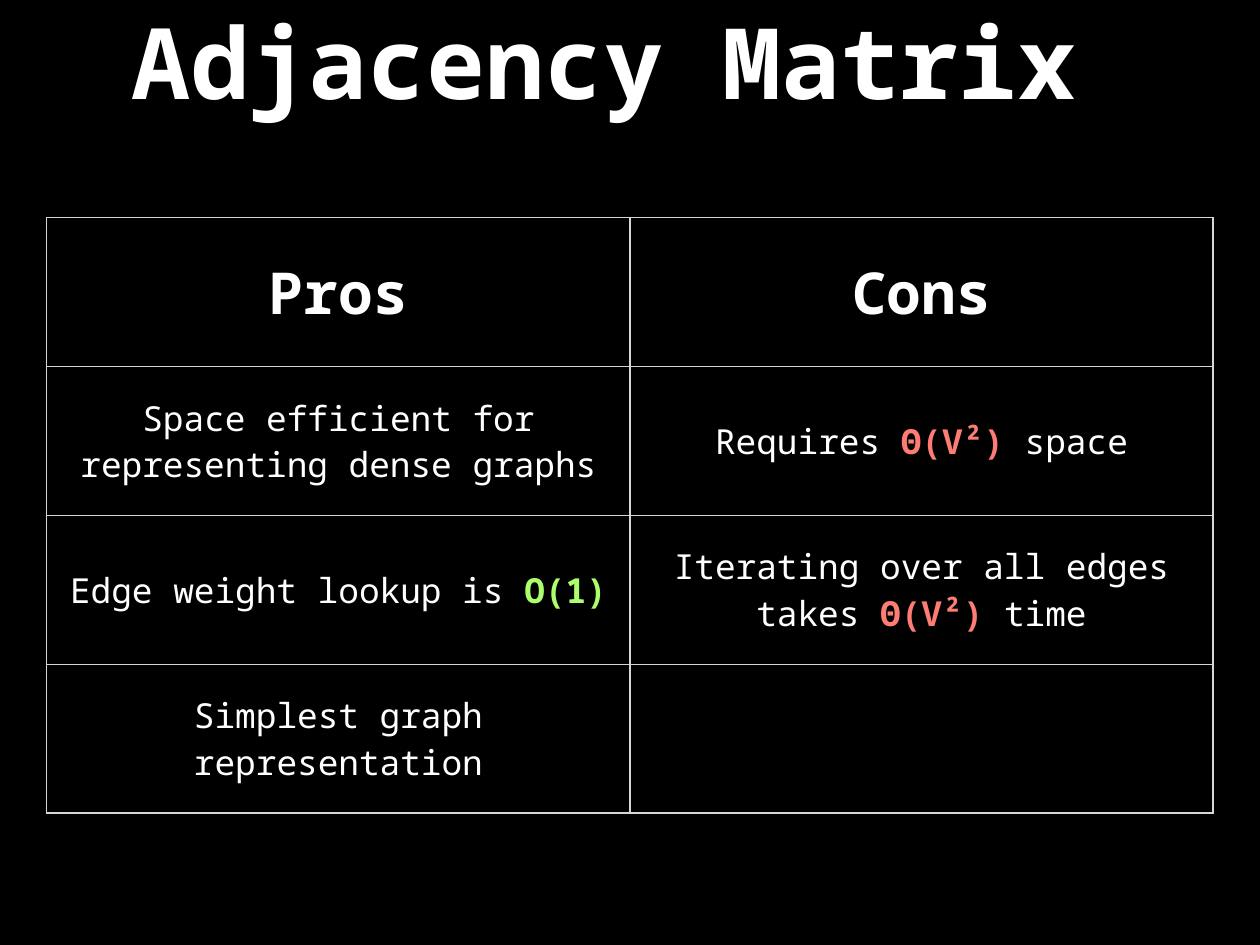
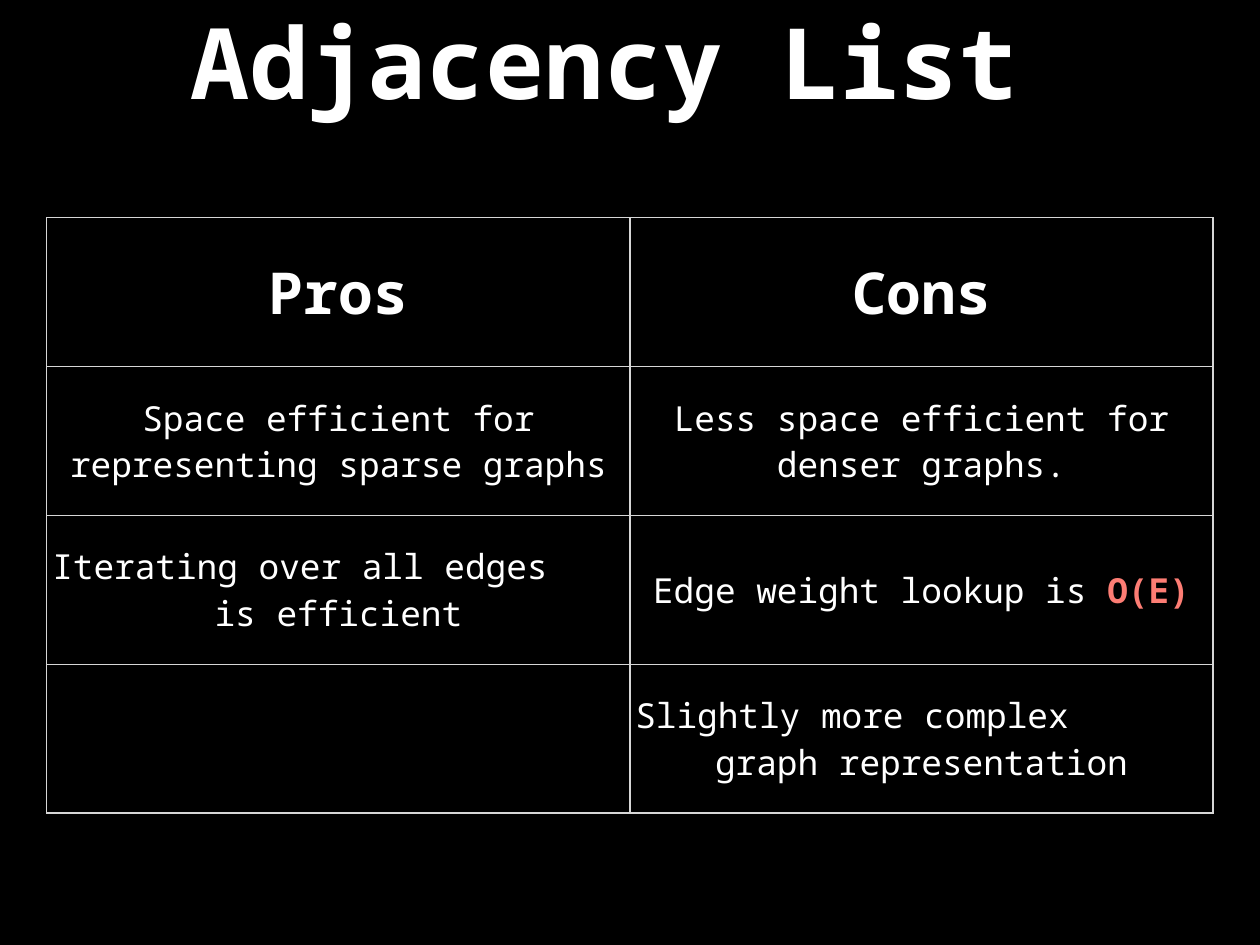
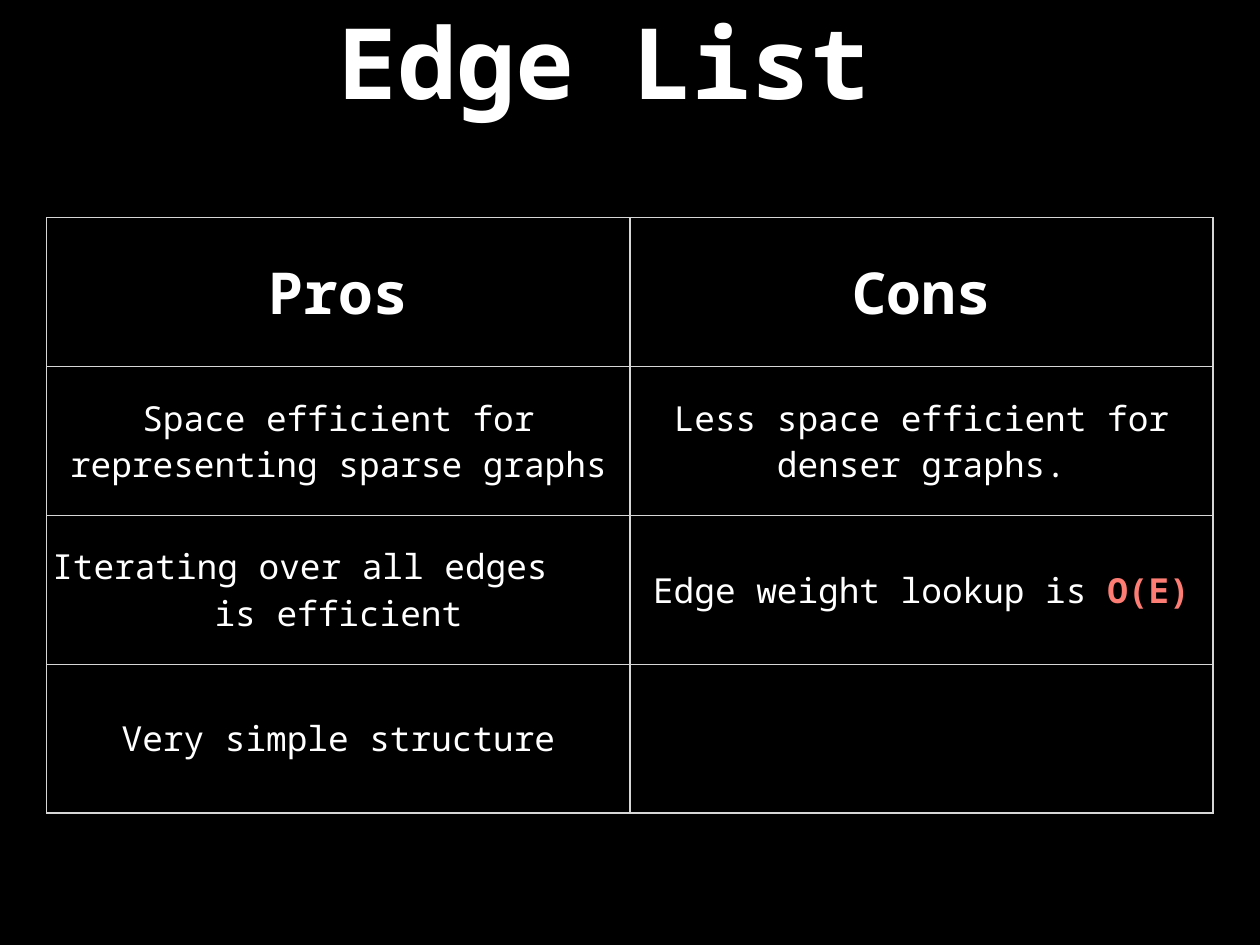
from lxml.etree import SubElement
from pptx import Presentation
from pptx.dml.color import RGBColor
from pptx.enum.text import MSO_ANCHOR, PP_ALIGN
from pptx.oxml.ns import qn
from pptx.util import Inches, Pt

SLIDE_W, SLIDE_H = 14.22, 10.67
COLUMN_W, ROW_H = 6.58, 1.68
TABLE_LEFT, TABLE_TOP = (SLIDE_W - 2 * COLUMN_W) / 2, 2.46
TITLE_BOX = (0.5, -0.05, 12.64, 1.45)

BLACK, WHITE, RULE = "000000", "FFFFFF", "D6D6D6"
GREEN, RED = "ABFF6D", "FD7D74"
FONT = "Noto Sans Mono"
TITLE = {"size": Pt(80), "bold": True}
HEADING = {"size": Pt(47), "bold": True}
BODY = {"size": Pt(28), "bold": False}
INSETS = {f"margin_{side}": Inches(0.06) for side in ("left", "top", "right", "bottom")}
MIDDLE = {"vertical_anchor": MSO_ANCHOR.MIDDLE, **INSETS}

# Text between asterisks is emphasised; a line ending in "<" is set flush left.
SPARSE_ROWS = [
    ("Space efficient for representing sparse graphs",
     "Less space efficient for denser graphs."),
    ("Iterating over all edges<\nis efficient", "Edge weight lookup is *O(E)*"),
]
COMPARISONS = {
    "Adjacency Matrix": [
        ("Space efficient for representing dense graphs", "Requires *Θ(V²)* space"),
        ("Edge weight lookup is *O(1)*", "Iterating over all edges takes *Θ(V²)* time"),
        ("Simplest graph representation", ""),
    ],
    "Adjacency List": SPARSE_ROWS + [("", "Slightly more complex<\ngraph representation")],
    "Edge List": SPARSE_ROWS + [("Very simple structure", "")],
}


def rgb(color):
    return RGBColor.from_string(color)


def set_all(target, values):
    for name, value in values.items():
        setattr(target, name, value)


def write(frame, text, style, accent=WHITE):
    """Fill a text frame, one paragraph a line, with emphasis in the accent colour."""
    for index, line in enumerate(text.split("\n")):
        paragraph = frame.add_paragraph() if index else frame.paragraphs[0]
        paragraph.alignment = PP_ALIGN.LEFT if line.endswith("<") else PP_ALIGN.CENTER
        for part, words in enumerate(line.rstrip("<").split("*")):
            if not words:
                continue
            emphasised = part % 2 == 1
            run = paragraph.add_run()
            run.text = words
            set_all(run.font, {"name": FONT, **style})
            run.font.color.rgb = rgb(accent if emphasised else WHITE)
            if emphasised:
                run.font.bold = True


def add_title(slide, title):
    frame = slide.shapes.add_textbox(*map(Inches, TITLE_BOX)).text_frame
    set_all(frame, {"word_wrap": True, **MIDDLE})
    write(frame, title, TITLE)


def draw_borders(cell):
    properties = cell._tc.get_or_add_tcPr()
    for edge in ("a:lnL", "a:lnR", "a:lnT", "a:lnB"):
        line = SubElement(properties, qn(edge), w=str(Pt(1)))
        fill = SubElement(line, qn("a:solidFill"))
        SubElement(fill, qn("a:srgbClr"), val=RULE)


def add_comparison(slide, rows):
    size = (2 * COLUMN_W, len(rows) * ROW_H)
    table = slide.shapes.add_table(
        len(rows), 2, *map(Inches, (TABLE_LEFT, TABLE_TOP, *size))).table
    set_all(table, {"first_row": False, "horz_banding": False})
    for row_index, row in enumerate(rows):
        style = BODY if row_index else HEADING
        for column_index, (text, accent) in enumerate(zip(row, (GREEN, RED))):
            cell = table.cell(row_index, column_index)
            set_all(cell, MIDDLE)
            draw_borders(cell)
            cell.fill.solid()
            cell.fill.fore_color.rgb = rgb(BLACK)
            write(cell.text_frame, text, style, accent)


def main():
    deck = Presentation()
    set_all(deck, {"slide_width": Inches(SLIDE_W), "slide_height": Inches(SLIDE_H)})
    background = deck.slide_master.background.fill
    background.solid()
    background.fore_color.rgb = rgb(BLACK)
    for title, rows in COMPARISONS.items():
        slide = deck.slides.add_slide(deck.slide_layouts[6])
        add_title(slide, title)
        add_comparison(slide, [("Pros", "Cons"), *rows])
    deck.save("out.pptx")


if __name__ == "__main__":
    main()
